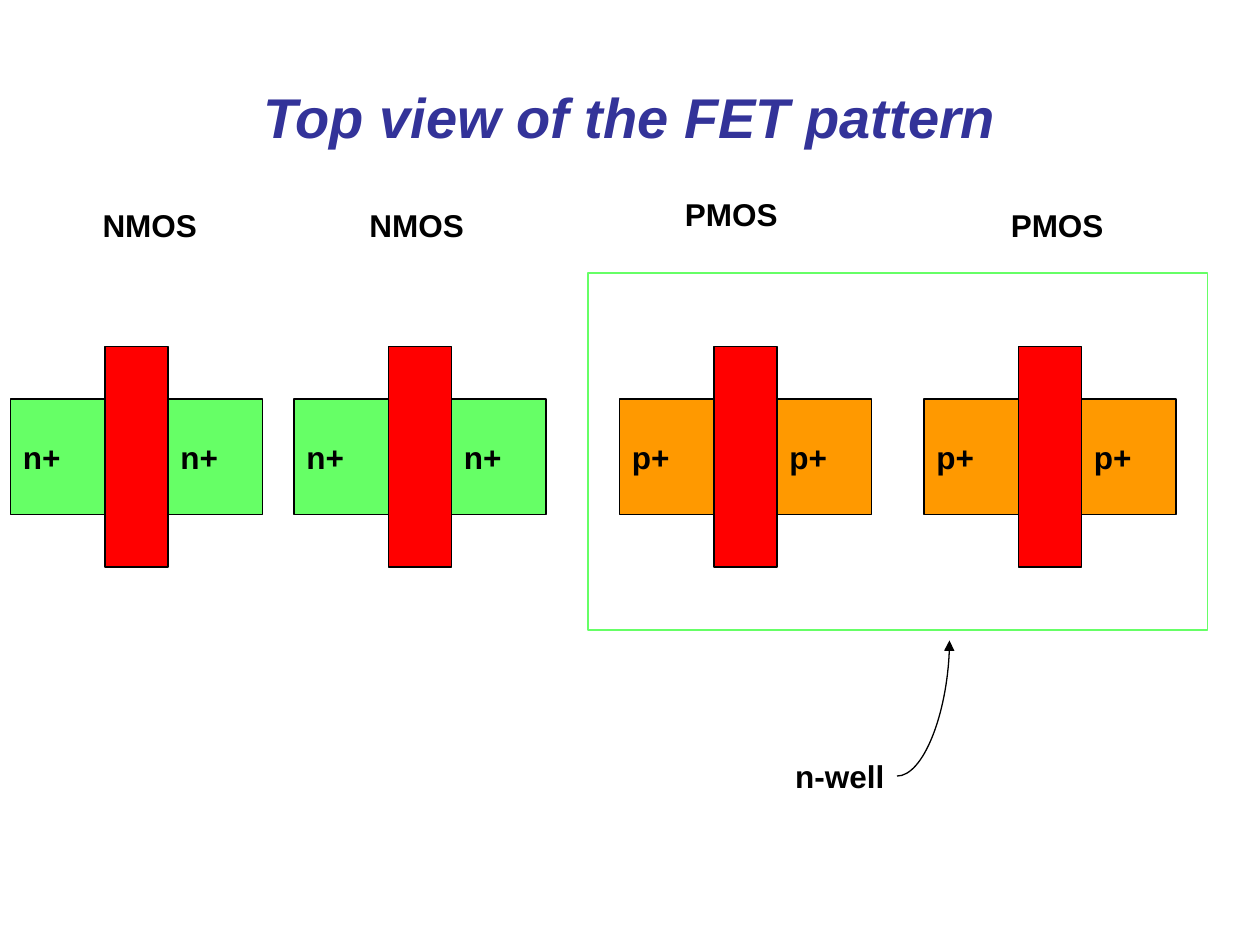
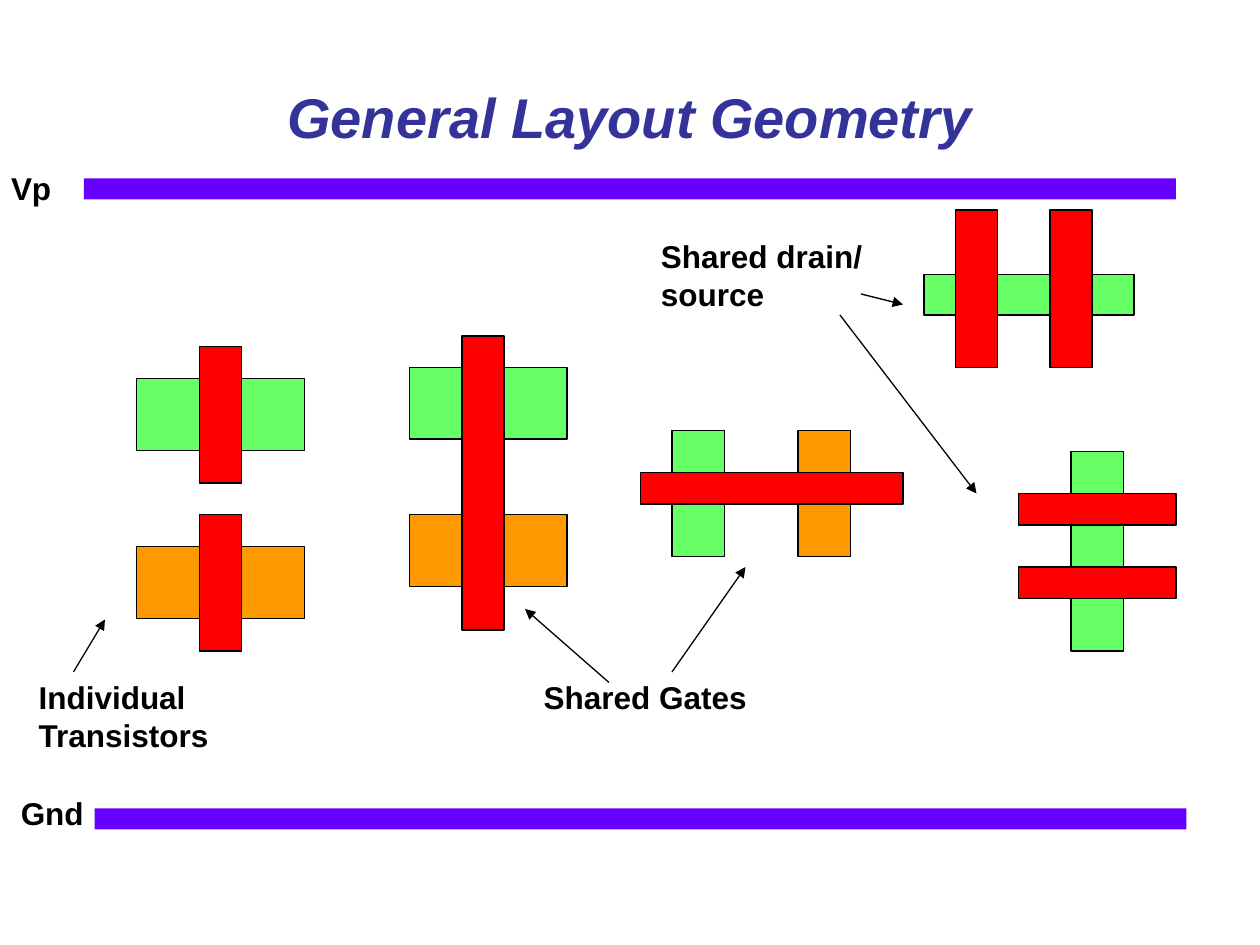
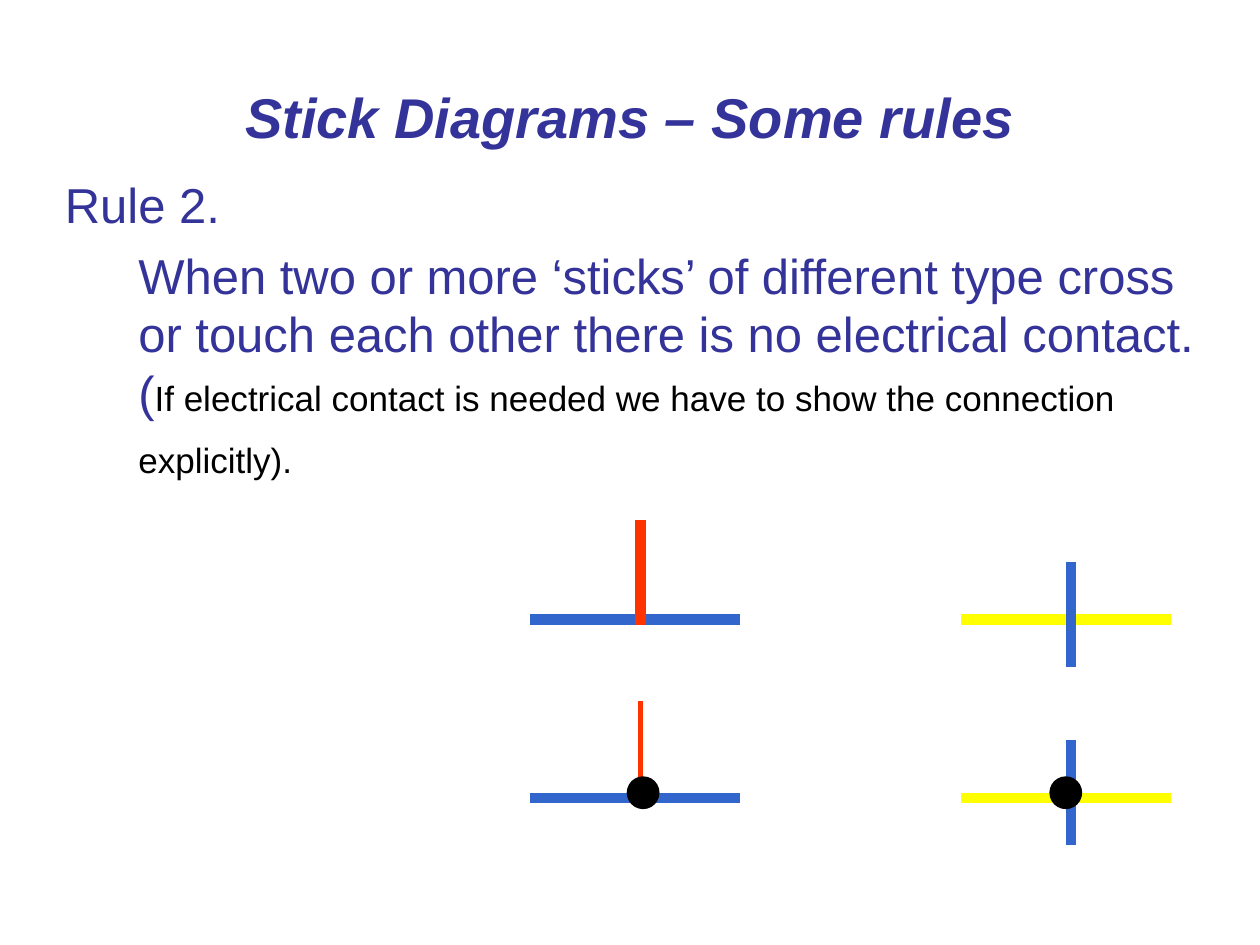
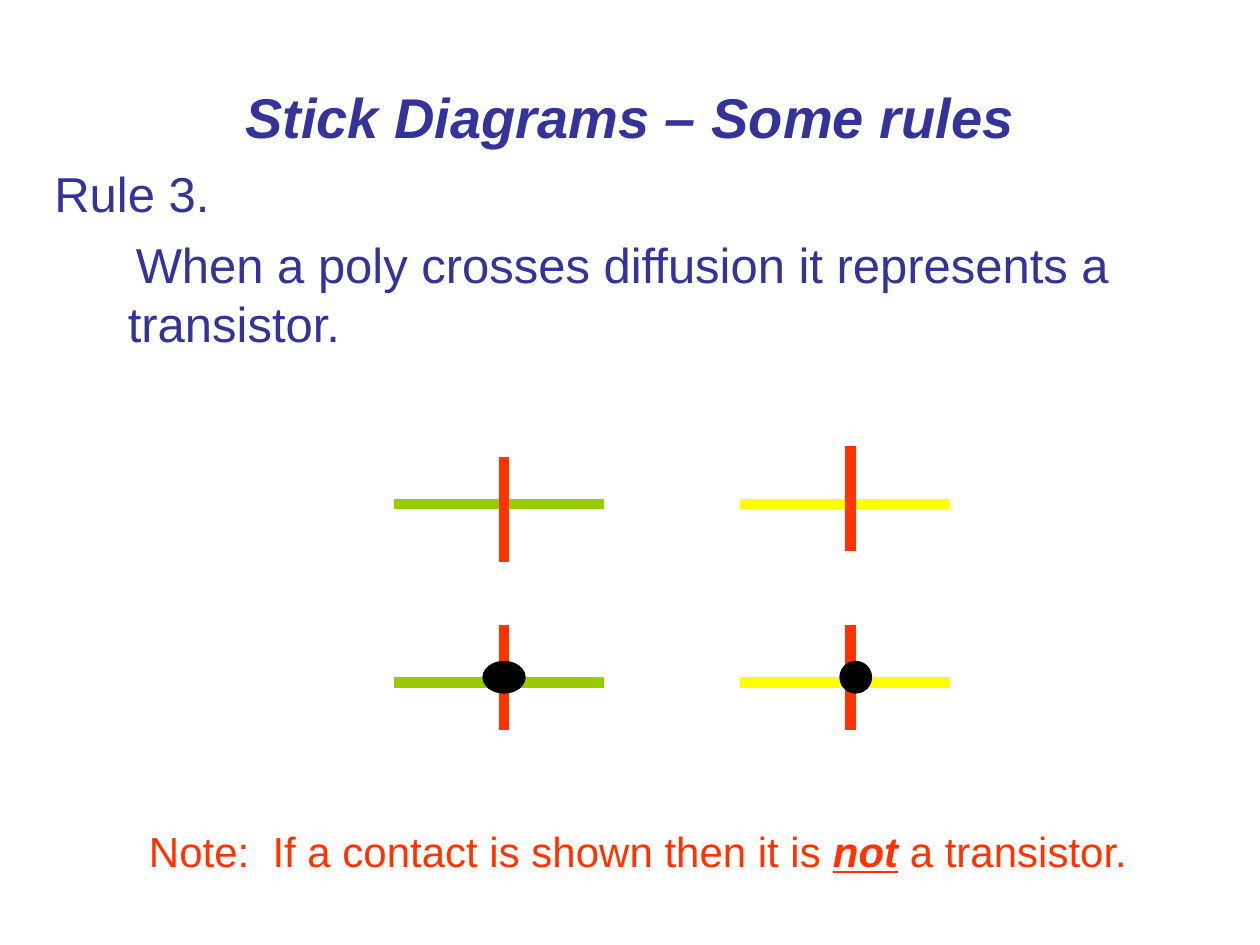
from dataclasses import dataclass

from lxml.etree import SubElement
from pptx import Presentation
from pptx.dml.color import RGBColor as Color
from pptx.enum.shapes import MSO_CONNECTOR as Connector, MSO_SHAPE as Shape
from pptx.enum.text import MSO_ANCHOR as Anchor, MSO_AUTO_SIZE as AutoSize, PP_ALIGN as Align
from pptx.oxml.ns import qn
from pptx.util import Pt


@dataclass(frozen=True)
class Theme:
    font: str = "Arial"
    navy: str = "333399"
    black: str = "000000"
    n_green: str = "66FF66"
    p_orange: str = "FF9900"
    gate_red: str = "FF0000"
    rail_violet: str = "6600FF"
    metal_blue: str = "3366CC"
    poly_red: str = "FF3300"
    p_yellow: str = "FFFF00"
    n_lime: str = "99CC00"
    title_size: float = 32
    body_size: float = 28
    note_size: float = 24
    detail_size: float = 20
    label_size: float = 18
    leading: float = 1.2
    outline: float = 0.75
    stick: float = 6


THEME = Theme()


def style_paragraph(para, size, color, bold=False, italic=False, align=Align.LEFT):
    para.alignment = align
    para.line_spacing = Pt(round(size * THEME.leading, 2))
    for span in para.runs:
        style_span(span, size, color, bold, italic)


def style_span(span, size, color, bold=False, italic=False):
    font = span.font
    font.name = THEME.font
    font.size = Pt(size)
    font.bold = bold
    font.italic = italic
    font.color.rgb = Color.from_string(color)


def add_span(para, text, size, color, bold=False, italic=False):
    span = para.add_run()
    span.text = text
    style_span(span, size, color, bold, italic)
    return span


def add_text_box(page, left, top, width, height, wrap=True):
    box = page.shapes.add_textbox(Pt(left), Pt(top), Pt(width), Pt(height))
    box.text_frame.word_wrap = wrap
    box.text_frame.auto_size = AutoSize.NONE if wrap else AutoSize.SHAPE_TO_FIT_TEXT
    return box


def add_page(deck, title):
    page = deck.slides.add_slide(deck.slide_layouts[6])
    frame = add_text_box(page, 36, 21.6, 648, 90).text_frame
    frame.vertical_anchor = Anchor.MIDDLE
    frame.text = title
    style_paragraph(frame.paragraphs[0], THEME.title_size, THEME.navy, True, True, Align.CENTER)
    return page


def add_label(page, text, left, top, width):
    lines = text.count("\n") + 1
    height = lines * THEME.label_size * THEME.leading + 7.2
    frame = add_text_box(page, left, top, width, height, wrap=False).text_frame
    frame.text = text
    for para in frame.paragraphs:
        style_paragraph(para, THEME.label_size, THEME.black, bold=True)


def add_rule(page, left, top, width, height, heading, text, first_indent=0):
    frame = add_text_box(page, left, top, width, height).text_frame
    frame.text = heading
    rule = frame.add_paragraph()
    rule.text = text
    rule.space_before = Pt(7)
    for para in frame.paragraphs:
        style_paragraph(para, THEME.body_size, THEME.navy)
    properties = rule._p.get_or_add_pPr()
    properties.set("marL", str(Pt(42)))
    properties.set("indent", str(Pt(first_indent)))
    return rule


def add_block(shapes, left, top, width, height, fill=None, line=THEME.black, kind=Shape.RECTANGLE):
    block = shapes.add_shape(kind, Pt(left), Pt(top), Pt(width), Pt(height))
    block.shadow.inherit = False
    if fill:
        block.fill.solid()
        block.fill.fore_color.rgb = Color.from_string(fill)
    else:
        block.fill.background()
    if line:
        block.line.color.rgb = Color.from_string(line)
        block.line.width = Pt(THEME.outline)
    else:
        block.line.fill.background()
    return block


def add_transistor(page, left, top, side, gate, color, text=""):
    side_width, side_height = side
    gate_width, gate_height = gate
    shapes = page.shapes.add_group_shape().shapes
    side_top = top + (gate_height - side_height) / 2
    for side_left in (left, left + side_width + gate_width):
        block = add_block(shapes, side_left, side_top, side_width, side_height, color)
        if text:
            frame = block.text_frame
            frame.word_wrap = False
            frame.vertical_anchor = Anchor.MIDDLE
            frame.text = text
            style_paragraph(frame.paragraphs[0], THEME.label_size, THEME.black, bold=True)
    add_block(shapes, left + side_width, top, gate_width, gate_height, THEME.gate_red)


def add_line(page, start, end, color, width, kind=Connector.STRAIGHT):
    line = page.shapes.add_connector(kind, *(Pt(value) for value in (*start, *end)))
    line.line.color.rgb = Color.from_string(color)
    line.line.width = Pt(width)
    SubElement(line._element.spPr, qn("a:effectLst"))
    return line


def add_arrow(page, start, end, kind=Connector.STRAIGHT):
    arrow = add_line(page, start, end, THEME.black, THEME.outline, kind)
    SubElement(arrow.line._get_or_add_ln(), qn("a:tailEnd"), type="triangle")
    return arrow


def add_stick(page, start, end, color, width=THEME.stick):
    stick = add_line(page, start, end, color, width)
    stick.line._get_or_add_ln().set("cap", "sq")


def add_crossing(page, left, level, upright_top, flat_color, upright_color, width=THEME.stick):
    upright = left + 60
    add_stick(page, (left, level), (left + 114, level), flat_color)
    add_stick(page, (upright, upright_top), (upright, upright_top + 54), upright_color, width)


def add_contact(page, left, top, width=18):
    add_block(page.shapes, left, top, width, 18, THEME.black, kind=Shape.OVAL)


def build_top_view(deck):
    page = add_page(deck, "Top view of the FET pattern")
    add_block(page.shapes, 336, 156, 354, 204, line=THEME.n_green)
    transistors = (
        (6, "n+", THEME.n_green, "NMOS", 51.5, 114),
        (168, "n+", THEME.n_green, "NMOS", 204, 114),
        (354, "p+", THEME.p_orange, "PMOS", 384.3, 108),
        (528, "p+", THEME.p_orange, "PMOS", 570.5, 114),
    )
    for left, doping, color, name, name_left, name_top in transistors:
        add_transistor(page, left, 198, (54, 66), (36, 126), color, doping)
        add_label(page, name, name_left, name_top, 70)
    add_label(page, "n-well", 447.3, 429.1, 66)
    arrow = add_arrow(page, (512.6, 443.5), (542.6, 366), Connector.CURVE)
    arrow._element.spPr.find(qn("a:prstGeom")).set("prst", "curvedConnector2")


def build_layout_geometry(deck):
    page = add_page(deck, "General Layout Geometry")
    green, orange, red = THEME.n_green, THEME.p_orange, THEME.gate_red
    for top, color in ((198, green), (294, orange)):
        add_transistor(page, 78, top, (36, 41), (24, 78), color)

    shared_gates = (
        (234, 210, 90, 41, green), (234, 294, 90, 41, orange), (264, 192, 24, 168, red),
        (384, 246, 30, 72, green), (456, 246, 30, 72, orange), (366, 270, 150, 18, red),
    )
    shared_drains = (
        (528, 157, 120, 23, green), (546, 120, 24, 90, red), (600, 120, 24, 90, red),
        (612, 258, 30, 114, green), (582, 282, 90, 18, red), (582, 324, 90, 18, red),
    )
    for left, top, width, height, color in shared_gates + shared_drains:
        add_block(page.shapes, left, top, width, height, color)

    for left, top in ((48, 102), (54, 462)):
        add_block(page.shapes, left, top, 624, 12, THEME.rail_violet, line=None)

    labels = (
        ("Individual\nTransistors", 15, 384, 112.5),
        ("Shared Gates", 303.6, 384, 131),
        ("Shared drain/\nsource", 370.6, 132, 130),
        ("Vp", -0.8, 93, 38),
        ("Gnd", 4.8, 450, 51),
    )
    for label in labels:
        add_label(page, *label)

    arrows = (
        ((348, 390), (300, 348)),
        ((384, 384), (426, 324)),
        ((492, 168), (516, 174)),
        ((480, 180), (558, 282)),
        ((42, 384), (60, 354)),
    )
    for start, end in arrows:
        add_arrow(page, start, end)


def build_rule_two(deck):
    page = add_page(deck, "Stick Diagrams – Some rules")
    rule = add_rule(
        page, 30, 96, 678, 192, "Rule 2.",
        "When two or more ‘sticks’ of different type cross or touch each other "
        "there is no electrical contact.\v(",
    )
    add_span(
        rule, "If electrical contact is needed we have to show the connection explicitly).",
        THEME.detail_size, THEME.black,
    )
    blue, red, yellow = THEME.metal_blue, THEME.poly_red, THEME.p_yellow
    add_crossing(page, 306, 354, 300, blue, red)
    add_crossing(page, 552, 354, 324, yellow, blue)
    add_crossing(page, 306, 456, 402, blue, red, width=3)
    add_crossing(page, 552, 456, 426, yellow, blue)
    for left in (358.5, 600):
        add_contact(page, left, 444)


def build_rule_three(deck):
    page = add_page(deck, "Stick Diagrams – Some rules")
    add_rule(
        page, 24, 90, 648, 132, "Rule 3.",
        "When a poly crosses diffusion it represents a transistor.", first_indent=4.5,
    )
    note = add_text_box(page, 78, 468, 574.6, 36, wrap=False).text_frame.paragraphs[0]
    note.text = "Note:  If a contact is shown then it is "
    style_paragraph(note, THEME.note_size, THEME.poly_red)
    emphasis = add_span(note, "not", THEME.note_size, THEME.poly_red, True, True)
    emphasis.font.underline = True
    add_span(note, " a transistor.", THEME.note_size, THEME.poly_red)

    columns = ((228, THEME.n_lime, 264, 276, 24), (426, THEME.p_yellow, 258, 480, 18))
    for left, color, upright_top, contact_left, contact_width in columns:
        add_crossing(page, left, 288, upright_top, color, THEME.poly_red)
        add_crossing(page, left, 390, 360, color, THEME.poly_red)
        add_contact(page, contact_left, 378, contact_width)


def main():
    deck = Presentation()
    deck.slide_width = Pt(720)
    deck.slide_height = Pt(540)
    build_top_view(deck)
    build_layout_geometry(deck)
    build_rule_two(deck)
    build_rule_three(deck)
    deck.save("out.pptx")


if __name__ == "__main__":
    main()
